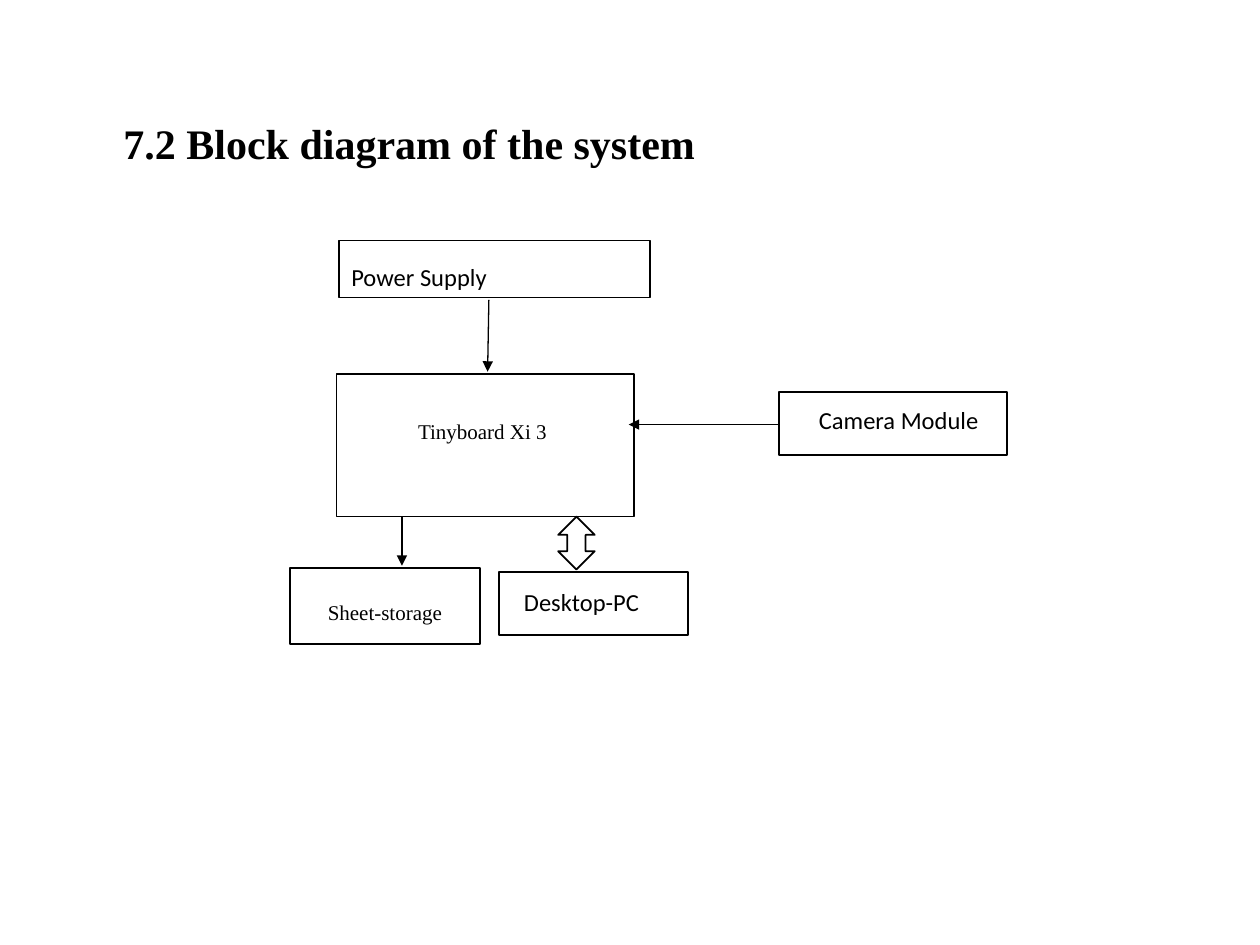
from pptx import Presentation, util as u
from pptx.dml.color import RGBColor
from pptx.enum import shapes, text
from pptx.oxml.ns import qn
from lxml import etree

HUES = {"ink": "000000"}
SERIF, SANS = "Times New Roman", "Calibri"


def ink():
    return RGBColor.from_string(HUES["ink"])


def write(shape, words, size=14, font=SANS, bold=False, space=1.5,
          align="LEFT", anchor="TOP", pad=(0.1, 0.05)):
    """Put one formatted paragraph in a shape."""
    frame = shape.text_frame
    frame.word_wrap = True
    frame.vertical_anchor = getattr(text.MSO_ANCHOR, anchor)
    frame.margin_left = frame.margin_right = u.Inches(pad[0])
    frame.margin_top = frame.margin_bottom = u.Inches(pad[1])
    para = frame.paragraphs[0]
    para.alignment = getattr(text.PP_ALIGN, align)
    para.line_spacing = space
    run = para.add_run()
    run.text = words
    run.font.name, run.font.size, run.font.bold = font, u.Pt(size), bold
    run.font.color.rgb = ink()


class Board:
    def __init__(self, deck):
        self.items = deck.slides.add_slide(deck.slide_layouts[6]).shapes

    def label(self, words, *box, **style):
        write(self.items.add_textbox(*map(u.Inches, box)), words, **style)

    def block(self, *box, kind="RECTANGLE", width=1):
        form = getattr(shapes.MSO_SHAPE, kind)
        shape = self.items.add_shape(form, *map(u.Inches, box))
        shape.shadow.inherit = False
        shape.fill.background()
        shape.line.color.rgb = ink()
        shape.line.width = u.Pt(width)
        return shape

    def arrow(self, *ends):
        link = self.items.add_connector(
            shapes.MSO_CONNECTOR.STRAIGHT, *map(u.Inches, ends))
        link.line.color.rgb = ink()
        link.line.width = u.Pt(0.75)
        line = link.line._get_or_add_ln()
        etree.SubElement(line, qn("a:tailEnd"), type="triangle")
        etree.SubElement(link._element.spPr, qn("a:effectLst"))


def main():
    deck = Presentation()
    deck.slide_width, deck.slide_height = u.Inches(10), u.Inches(7.5)
    board = Board(deck)

    # Title
    board.label("7.2 Block diagram of the system", 0.91, 0.89, 6.01, 0.48,
                size=24, font=SERIF, bold=True, space=1, pad=(0.07, 0.04))

    # Power supply
    power = board.block(2.69, 1.91, 2.47, 0.45, width=0.75)
    write(power, "Power Supply")

    # Main computer
    board.block(2.67, 2.97, 2.36, 1.13)
    board.label("Tinyboard Xi 3", 3.22, 3.17, 2.27, 0.37, size=12, font=SERIF)

    # Camera
    board.block(6.18, 3.11, 1.81, 0.5)
    board.label("Camera Module", 6.4, 3.05, 1.81, 0.57)

    # Storage and desktop
    store = board.block(2.3, 4.51, 1.51, 0.6)
    write(store, "Sheet-storage", size=12, font=SERIF,
          align="CENTER", anchor="MIDDLE")
    board.block(3.96, 4.54, 1.5, 0.5)
    board.label("Desktop-PC", 4.06, 4.49, 1.49, 0.44)

    # Links between the blocks
    board.block(4.43, 4.1, 0.29, 0.42, kind="UP_DOWN_ARROW")
    for ends in ((3.88, 2.38, 3.87, 2.95),
                 (3.19, 4.1, 3.19, 4.49),
                 (6.19, 3.37, 4.99, 3.37)):
        board.arrow(*ends)

    deck.save("out.pptx")


if __name__ == "__main__":
    main()
